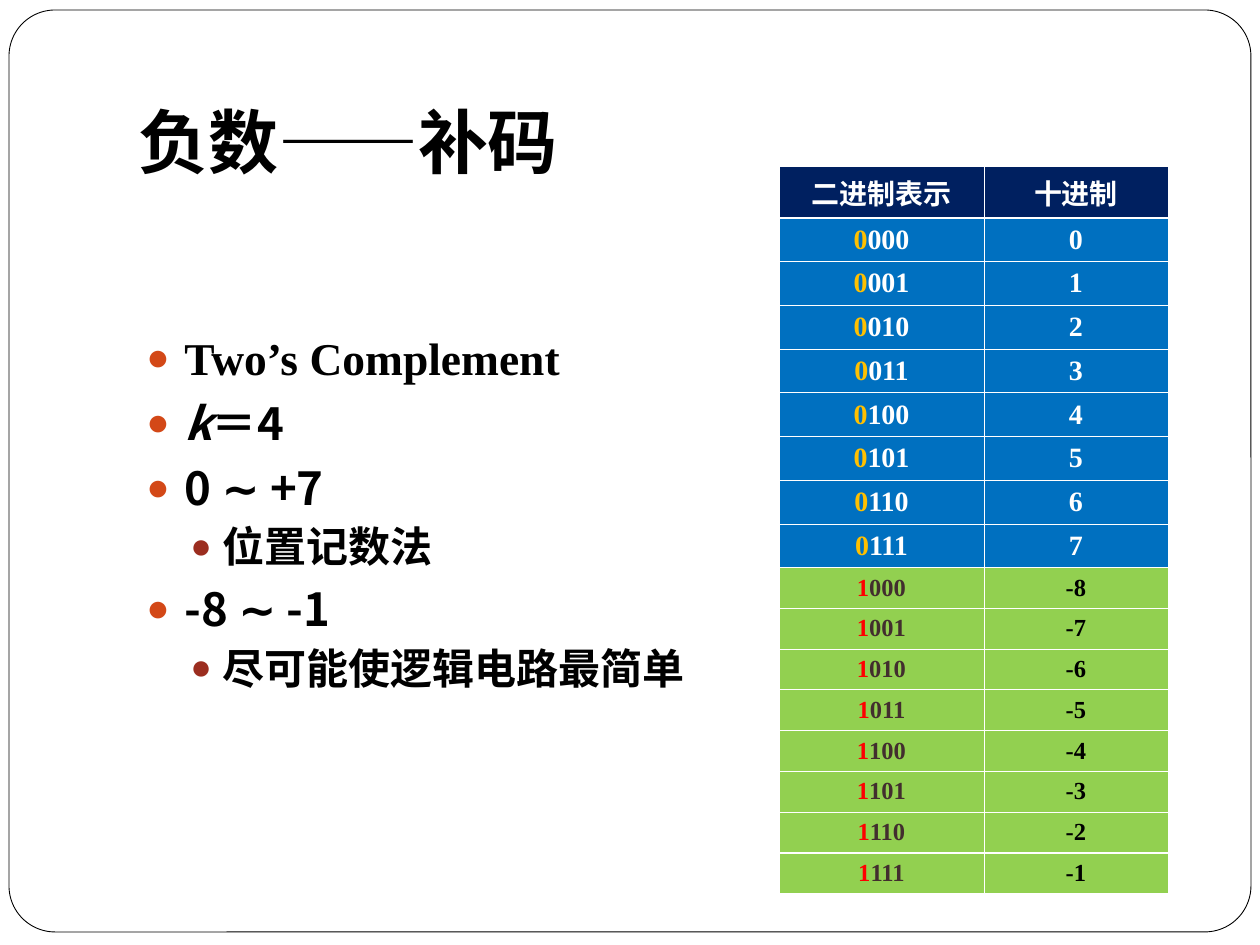
from dataclasses import dataclass

from lxml.etree import SubElement as Sub
from pptx import Presentation
from pptx.dml.color import RGBColor as RGB
from pptx.enum.shapes import MSO_SHAPE as SHAPE
from pptx.enum.text import MSO_ANCHOR as ANCHOR, PP_ALIGN as ALIGN
from pptx.oxml.ns import qn
from pptx.util import Pt

EMU_PER_PX = 914400 // 126
CJK, SERIF, SANS = "Noto Sans CJK SC", "Times New Roman", "Arial"
C = {
    "white": "FFFFFF", "black": "000000", "navy": "002060", "blue": "0070C0",
    "green": "92D050", "gold": "FFC000", "red": "FF0000", "brown": "422E2E",
    "bullet": "D34817", "sub_bullet": "9B2D1F",
}
THIN, THICK = 0.45, 1.47


@dataclass
class Run:
    text: str
    font: str = CJK
    color: str = "black"
    italic: bool = False


@dataclass
class Level:
    size: int
    before: float
    left: int
    hang: int
    color: str


@dataclass
class Bullet:
    level: int
    runs: list[Run]


@dataclass
class Band:
    fill: str
    size: int
    sign: str
    bits: str
    number: str


LEVELS = [Level(26, 5.8, 38, 38, "bullet"), Level(24, 3.7, 76, 32, "sub_bullet")]
BULLETS = [
    Bullet(0, [Run("Two’s Complement", SERIF)]),
    Bullet(0, [Run("k", italic=True), Run("＝4")]),
    Bullet(0, [Run("0 "), Run("∼", SANS), Run(" +7")]),
    Bullet(1, [Run("位置记数法")]),
    Bullet(0, [Run("-8 "), Run("∼", SANS), Run(" -1")]),
    Bullet(1, [Run("尽可能使逻辑电路最简单")]),
]
HEADER = Band("navy", 16, "white", "white", "white")
POSITIVE = Band("blue", 16, "gold", "white", "white")
NEGATIVE = Band("green", 14, "red", "brown", "black")


def px(n: int) -> int:
    return n * EMU_PER_PX


def box(*lengths: int) -> list[int]:
    return [px(n) for n in lengths]


def rgb(name: str) -> RGB:
    return RGB.from_string(C[name])


def set_all(target, values: dict) -> None:
    for key, value in values.items():
        setattr(target, key, value)


def add_runs(p, runs: list[Run], size: int) -> None:
    for run in runs:
        r = p.add_run()
        r.text = run.text
        set_all(r.font, {"name": run.font, "size": Pt(size), "bold": True,
                         "italic": run.italic})
        r.font.color.rgb = rgb(run.color)
        Sub(r.font._element, qn("a:ea"), typeface=CJK)


def add_bullet(p, item: Bullet) -> None:
    level = LEVELS[item.level]
    set_all(p, {"level": item.level, "space_before": Pt(level.before)})
    pPr = p._p.get_or_add_pPr()
    pPr.set("marL", str(px(level.left)))
    pPr.set("indent", str(-px(level.hang)))
    Sub(Sub(pPr, qn("a:buClr")), qn("a:srgbClr"), val=C[level.color])
    Sub(pPr, qn("a:buSzPct"), val="85000")
    Sub(pPr, qn("a:buFont"), typeface=SANS)
    Sub(pPr, qn("a:buChar"), char="●")
    add_runs(p, item.runs, level.size)


def add_text_box(s, place: list[int], margins: dict):
    tf = s.shapes.add_textbox(*place).text_frame
    set_all(tf, {"word_wrap": True, **margins})
    return tf


def fill_cell(cell, runs: list[Run], band: Band, top: float, bottom: float) -> None:
    set_all(cell, {"vertical_anchor": ANCHOR.MIDDLE, "margin_left": px(10),
                   "margin_right": px(10), "margin_top": px(4), "margin_bottom": px(4)})
    tcPr = cell._tc.get_or_add_tcPr()
    for side, width in {"L": THIN, "R": THIN, "T": top, "B": bottom}.items():
        ln = Sub(tcPr, qn(f"a:ln{side}"), w=str(Pt(width)))
        Sub(Sub(ln, qn("a:solidFill")), qn("a:srgbClr"), val=C["white"])
    cell.fill.solid()
    cell.fill.fore_color.rgb = rgb(band.fill)
    p = cell.text_frame.paragraphs[0]
    p.alignment = ALIGN.CENTER
    add_runs(p, runs, band.size)


def add_code_table(s) -> None:
    rows = [(HEADER, [Run("二进制表示", SERIF, "white")], "十进制")]
    for code in range(16):
        band, value = (POSITIVE, code) if code < 8 else (NEGATIVE, code - 16)
        bits = f"{code:04b}"
        rows.append((band, [Run(bits[0], SERIF, band.sign),
                            Run(bits[1:], SERIF, band.bits)], str(value)))

    table = s.shapes.add_table(len(rows), 2, *box(779, 166, 389, 728)).table
    for column, width in zip(table.columns, (205, 184)):
        column.width = px(width)
    heights = [px(52)] + [px(350) // 8] * 8 + [px(326) // 8] * 8
    thick_edges = {1, len(rows) - 1}
    for i, (band, code_runs, number) in enumerate(rows):
        table.rows[i].height = heights[i]
        top, bottom = (THICK if edge in thick_edges else THIN for edge in (i, i + 1))
        for j, runs in enumerate((code_runs, [Run(number, SERIF, band.number)])):
            fill_cell(table.cell(i, j), runs, band, top, bottom)


def main() -> None:
    prs = Presentation()
    set_all(prs, {"slide_width": px(1260), "slide_height": px(945)})
    s = prs.slides.add_slide(prs.slide_layouts[6])

    # Rounded frame
    sp = s.shapes.add_shape(SHAPE.ROUNDED_RECTANGLE, *box(9, 10, 1242, 922))
    sp.adjustments[0] = 0.05
    sp.shadow.inherit = False
    sp.fill.solid()
    sp.fill.fore_color.rgb = rgb("white")
    sp.line.color.rgb = rgb("black")
    sp.line.width = Pt(0.5)

    # Title
    tf = add_text_box(s, box(126, 38, 1071, 157),
                      {"vertical_anchor": ANCHOR.BOTTOM, "margin_bottom": px(13)})
    add_runs(tf.paragraphs[0], [Run("负数——补码")], 40)

    # Table of four-bit codes
    add_code_table(s)

    # Bullet list
    tf = add_text_box(s, box(134, 324, 605, 525), {"vertical_anchor": ANCHOR.TOP})
    for i, item in enumerate(BULLETS):
        add_bullet(tf.add_paragraph() if i else tf.paragraphs[0], item)

    prs.save("out.pptx")


if __name__ == "__main__":
    main()
